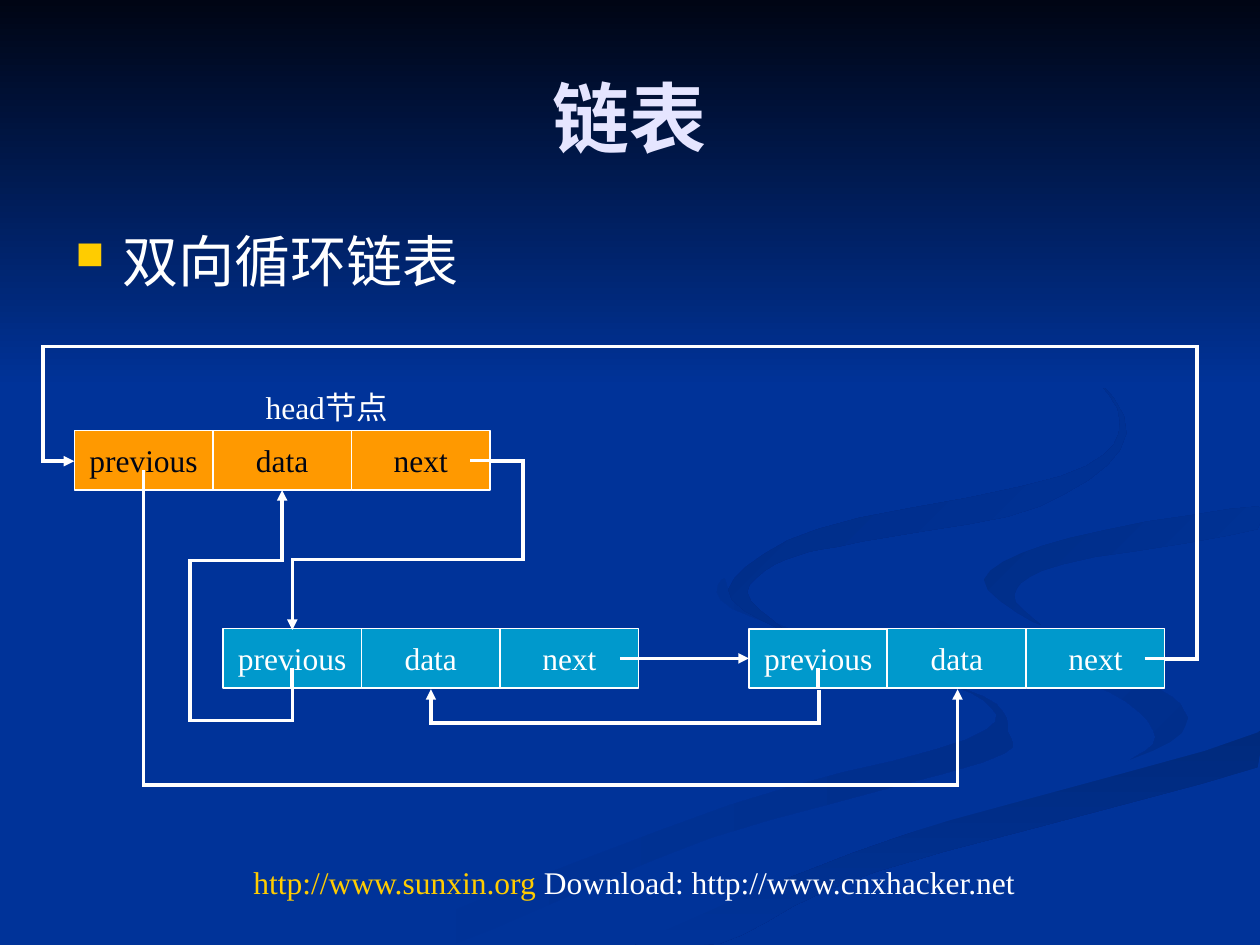
from dataclasses import dataclass
from typing import Optional

from lxml.etree import SubElement
from pptx import Presentation
from pptx.dml.color import RGBColor
from pptx.enum.shapes import MSO_CONNECTOR, MSO_SHAPE
from pptx.enum.text import MSO_ANCHOR, PP_ALIGN
from pptx.oxml.ns import qn
from pptx.util import Pt

FONT = "Times New Roman"
WHITE, NAVY, BLUE, YELLOW = "FFFFFF", "000514", "003399", "FFCC00"
CELL_WIDTH, CELL_HEIGHT = 79.2, 33.84
HUNDREDTH_INCH = Pt(0.72)
SMOOTH_STEPS = 5

Point = tuple[float, float]


@dataclass(frozen=True)
class Swirl:
    points: list[Point]
    colors: tuple[str, str]
    angle: int


@dataclass(frozen=True)
class Node:
    left: float
    top: float
    fill: str
    ink: str
    first_border: float = 0.75


@dataclass(frozen=True)
class Stub:
    node: int
    cell: int
    side: int
    dx: float
    dy: float


SWIRLS = [
    Swirl([(781, 553), (682, 519), (594, 485), (575, 459), (581, 483), (697, 525), (781, 556),
           (767, 587), (579, 639), (300, 749), (361, 749), (564, 665), (780, 605), (800, 581)],
          (BLUE, "002E8B"), 0),
    Swirl([(943, 570), (905, 540), (758, 498), (724, 464), (755, 505), (880, 549), (917, 585),
           (894, 605), (932, 589)], (BLUE, "002E8B"), 45),
    Swirl([(503, 749), (571, 749), (695, 692), (998, 609), (998, 581), (764, 647), (569, 719)],
          ("002A7D", BLUE), 90),
    Swirl([(725, 464), (759, 498), (905, 540), (943, 570), (892, 605), (663, 668), (477, 749),
           (503, 749), (696, 669), (999, 581), (999, 538), (848, 503), (782, 460), (835, 430),
           (999, 402), (999, 387), (788, 422)], (BLUE, BLUE), 0),
    Swirl([(781, 460), (826, 496), (805, 472), (843, 448), (998, 420), (998, 402), (849, 427)],
          ("002D86", BLUE), 45),
    Swirl([(683, 430), (825, 402), (894, 344), (843, 275), (762, 233), (846, 279), (889, 335),
           (842, 378), (649, 420), (578, 468), (622, 500), (593, 470), (624, 444)],
          ("002B82", BLUE), 45),
]
SKY = Swirl([(0, 0), (0, 308), (1000, 308), (1000, 0)], (NAVY, BLUE), 90)

NODES = [
    Node(42.5, 246.2, "FF9900", NAVY),
    Node(127.4, 359.3, "0099CC", WHITE),
    Node(428, 359.3, "0099CC", WHITE, 1.25),
]
CELL_LABELS = ["previous", "data", "next"]

ROUTES = [
    [(650, 548), (650, 574), (342, 574), (342, 547)],
    [(390, 366), (415, 366), (415, 444), (232, 444), (232, 500)],
    [(232, 547), (232, 572), (151, 572), (151, 445), (224, 445), (224, 389)],
    [(114, 389), (114, 623), (760, 623), (760, 547)],
    [(925, 523), (950, 523), (950, 275), (34, 275), (34, 366), (59, 366)],
]
STUBS = [Stub(node, 0, 2, 0, -11.5) for node in range(3)] + [
    Stub(node, 2, 3, -11.5, 0) for node in (0, 2)
]


def rgb(color: str) -> RGBColor:
    return RGBColor.from_string(color)


def add_run(paragraph, text: str, size: float, color: str, bold: bool = False) -> None:
    run = paragraph.add_run()
    run.text = text
    run.font.name = FONT
    run.font.size = Pt(size)
    run.font.bold = bold
    run.font.color.rgb = rgb(color)


def style_line(shape, width: float = 2, arrow: bool = False) -> None:
    shape.line.color.rgb = rgb(WHITE)
    shape.line.width = Pt(width)
    if arrow:
        line = shape.line._get_or_add_ln()
        SubElement(line, qn("a:miter"), lim="800000")
        SubElement(line, qn("a:tailEnd"), type="triangle")


def smooth(points: list[Point]) -> list[Point]:
    def blend(a: float, b: float, c: float, d: float, t: float) -> float:
        return b + t / 2 * (c - a + t * (2 * a - 5 * b + 4 * c - d + t * (3 * (b - c) + d - a)))

    curve = []
    for index in range(len(points)):
        corners = [points[(index + offset) % len(points)] for offset in range(-1, 3)]
        for step in range(SMOOTH_STEPS):
            x, y = (blend(*values, step / SMOOTH_STEPS) for values in zip(*corners))
            curve.append((min(x, 1000), min(y, 750)))
    return curve


def add_outline(slide, points: list[Point], close: bool):
    builder = slide.shapes.build_freeform(*points[0], scale=HUNDREDTH_INCH)
    builder.add_line_segments(points[1:], close=close)
    shape = builder.convert_to_shape()
    shape.shadow.inherit = False
    return shape


def add_swirl(slide, swirl: Swirl, points: list[Point]) -> None:
    shape = add_outline(slide, points, True)
    shape.line.fill.background()
    shape.fill.gradient()
    shape.fill.gradient_angle = (360 - swirl.angle) % 360
    for stop, color in zip(shape.fill.gradient_stops, swirl.colors):
        stop.color.rgb = rgb(color)


def add_route(slide, points: list[Point]) -> None:
    shape = add_outline(slide, points, False)
    shape.fill.background()
    style_line(shape, arrow=True)


def add_node(slide, node: Node) -> list:
    cells = []
    for index, label in enumerate(CELL_LABELS):
        cell = slide.shapes.add_shape(
            MSO_SHAPE.RECTANGLE, Pt(node.left + index * CELL_WIDTH), Pt(node.top), Pt(CELL_WIDTH), Pt(CELL_HEIGHT))
        cell.shadow.inherit = False
        cell.fill.solid()
        cell.fill.fore_color.rgb = rgb(node.fill)
        style_line(cell, 0.75 if index else node.first_border)
        cell.text_frame.word_wrap = False
        cell.text_frame.vertical_anchor = MSO_ANCHOR.MIDDLE
        paragraph = cell.text_frame.paragraphs[0]
        paragraph.alignment = PP_ALIGN.CENTER
        add_run(paragraph, label, 18, node.ink)
        cells.append(cell)
    return cells


def add_link(slide, x: float, y: float, cell, side: int, arrow: bool = False) -> None:
    link = slide.shapes.add_connector(MSO_CONNECTOR.STRAIGHT, Pt(x), Pt(y), Pt(x), Pt(y))
    link.end_connect(cell, side)
    style_line(link, arrow=arrow)
    SubElement(link._element.spPr, qn("a:effectLst"))


def add_stub(slide, stub: Stub, cell) -> None:
    x = cell.left.pt + cell.width.pt * (1 if stub.side == 3 else 0.5)
    y = cell.top.pt + cell.height.pt * (1 if stub.side == 2 else 0.5)
    add_link(slide, x + stub.dx, y + stub.dy, cell, stub.side)


def add_text(slide, box: tuple[float, float, float, float], runs: list[tuple[str, str]],
             size: float = 18, alignment: Optional[PP_ALIGN] = None):
    frame = slide.shapes.add_textbox(*map(Pt, box)).text_frame
    frame.word_wrap = True
    paragraph = frame.paragraphs[0]
    paragraph.alignment = alignment
    for text, color in runs:
        add_run(paragraph, text, size, color)
    return paragraph


def add_bullet(paragraph) -> None:
    properties = paragraph._p.get_or_add_pPr()
    properties.set("marL", str(Pt(27)))
    properties.set("indent", str(Pt(-27)))
    SubElement(SubElement(properties, qn("a:buClr")), qn("a:srgbClr"), val=YELLOW)
    SubElement(properties, qn("a:buSzPct"), val="70000")
    SubElement(properties, qn("a:buChar"), char="■")


def format_title(slide) -> None:
    title = slide.shapes.title
    title._element.getparent().append(title._element)
    title.left, title.top, title.width, title.height = map(Pt, (36, 21.6, 648, 90))
    title.text_frame.vertical_anchor = MSO_ANCHOR.MIDDLE
    paragraph = title.text_frame.paragraphs[0]
    paragraph.alignment = PP_ALIGN.CENTER
    add_run(paragraph, "链表", 44, "E5E5FF", True)


def main() -> None:
    presentation = Presentation()
    presentation.slide_width, presentation.slide_height = Pt(720), Pt(540)
    slide = presentation.slides.add_slide(presentation.slide_layouts[5])
    slide.background.fill.solid()
    slide.background.fill.fore_color.rgb = rgb(BLUE)
    for swirl in SWIRLS:
        add_swirl(slide, swirl, smooth(swirl.points))
    add_swirl(slide, SKY, SKY.points)
    format_title(slide)
    add_bullet(add_text(slide, (36, 126, 648, 47.5), [("双向循环链表", WHITE)], 32))
    cells = [add_node(slide, node) for node in NODES]
    add_text(slide, (144.7, 218.2, 96.5, 50.4), [("head节点", WHITE)])
    for route in ROUTES:
        add_route(slide, route)
    for stub in STUBS:
        add_stub(slide, stub, cells[stub.node][stub.cell])
    add_link(slide, 354.2, NODES[1].top + CELL_HEIGHT / 2, cells[2][0], 1, True)
    add_text(slide, (127.4, 489.6, 470.2, 50.4),
             [("http://www.sunxin.org", YELLOW), (" Download: http://www.cnxhacker.net", WHITE)],
             alignment=PP_ALIGN.CENTER)
    presentation.save("out.pptx")


if __name__ == "__main__":
    main()
